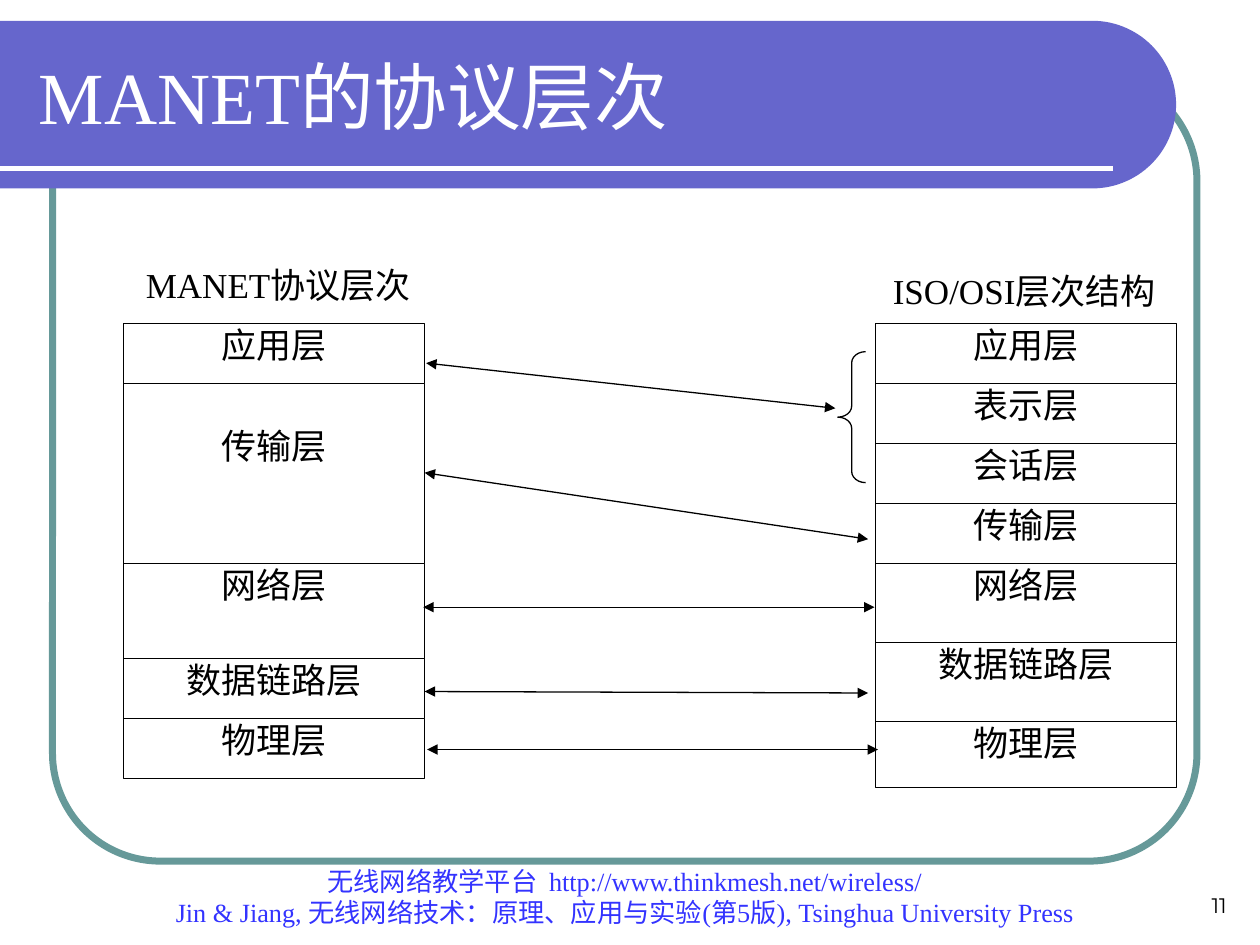
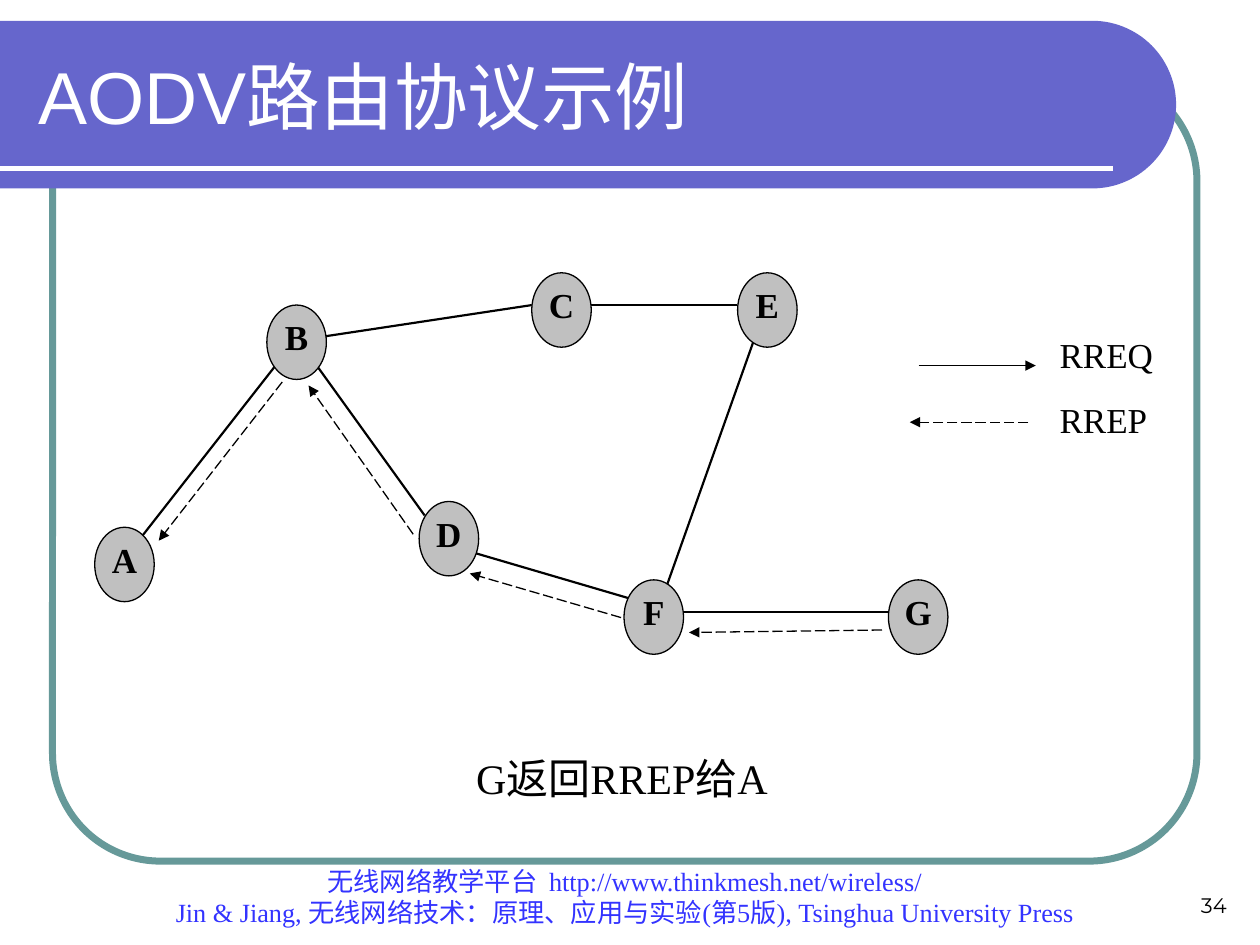
import math

from lxml import etree
from pptx import Presentation
from pptx.dml.color import RGBColor
from pptx.enum import dml, shapes, text
from pptx.oxml import ns
from pptx.util import Cm, Pt

BAND, FRAME, FOOTER, NODE = "6666CC", "669999", "3333FF", "C0C0C0"
BLACK, WHITE = "000000", "FFFFFF"
SERIF, SANS, NUMBER = "Times New Roman", "Arial", "Montserrat"
CENTER, LEFT, RIGHT = text.PP_ALIGN.CENTER, text.PP_ALIGN.LEFT, text.PP_ALIGN.RIGHT
TOP, MIDDLE, BOTTOM = (text.MSO_ANCHOR.TOP, text.MSO_ANCHOR.MIDDLE,
                       text.MSO_ANCHOR.BOTTOM)
FOOTER_TEXT = ("无线网络教学平台  http://www.thinkmesh.net/wireless/\n"
               "Jin & Jiang, 无线网络技术：原理、应用与实验(第5版), "
               "Tsinghua University Press")


def rgb(hex_color):
    return RGBColor.from_string(hex_color)


def write(shape, words, size, color=BLACK, font=SERIF, align=CENTER, anchor=TOP,
          inset=(0, 0), bold=False):
    """Put words into a shape; inset is (sides, top and bottom) in cm."""
    frame = shape.text_frame
    frame.text = words
    frame.word_wrap = True
    frame.auto_size = text.MSO_AUTO_SIZE.NONE
    frame.vertical_anchor = anchor
    frame.margin_left = frame.margin_right = Cm(inset[0])
    frame.margin_top = frame.margin_bottom = Cm(inset[1])
    for paragraph in frame.paragraphs:
        paragraph.alignment = align
        for run in paragraph.runs:
            run.font.size = Pt(size)
            run.font.name = font
            run.font.bold = bold
            run.font.color.rgb = rgb(color)


def paint(shape, fill=None, line=None, weight=0.75):
    shape.shadow.inherit = False
    if fill:
        shape.fill.solid()
        shape.fill.fore_color.rgb = rgb(fill)
    else:
        shape.fill.background()
    if line:
        shape.line.color.rgb = rgb(line)
        shape.line.width = Pt(weight)
    else:
        shape.line.fill.background()


def add_preset(slide, kind, left, top, width, height, **look):
    shape = slide.shapes.add_shape(kind, Cm(left), Cm(top), Cm(width), Cm(height))
    paint(shape, **look)
    return shape


def add_label(slide, words, left, top, width, height, size, **style):
    label = slide.shapes.add_textbox(Cm(left), Cm(top), Cm(width), Cm(height))
    write(label, words, size, **style)


def add_line(slide, start, end, color=BLACK, weight=0.75, dashed=False, arrows=()):
    """Draw a line; arrows names its pointed ends, headEnd before tailEnd."""
    line = slide.shapes.add_connector(shapes.MSO_CONNECTOR.STRAIGHT,
                                      *(Cm(v) for v in (*start, *end)))
    line.line.color.rgb = rgb(color)
    line.line.width = Pt(weight)
    if dashed:
        line.line.dash_style = dml.MSO_LINE.LONG_DASH
    properties = line._element.spPr
    outline = properties.find(ns.qn("a:ln"))
    for end_name in arrows:
        etree.SubElement(outline, ns.qn("a:" + end_name), type="triangle")
    etree.SubElement(properties, ns.qn("a:effectLst"))


def add_band(slide):
    """Title band with a half-round right end."""
    top, radius, straight = 0.42, 1.69, 22.02
    arc = [(straight + radius * math.cos(math.radians(a)),
            top + radius + radius * math.sin(math.radians(a)))
           for a in range(-90, 91, 3)]
    points = [(Cm(x), Cm(y)) for x, y in arc + [(0, top + 2 * radius)]]
    outline = slide.shapes.build_freeform(Cm(0), Cm(top))
    outline.add_line_segments(points, close=True)
    paint(outline.convert_to_shape(), fill=BAND)


def add_page(deck, title, number, title_font):
    """Add a slide with frame, band, title, footer and page number."""
    slide = deck.slides.add_slide(deck.slide_layouts[5])
    frame = add_preset(slide, shapes.MSO_SHAPE.ROUNDED_RECTANGLE,
                       1.06, 1.48, 23.07, 15.88, line=FRAME, weight=4)
    frame.adjustments[0] = 0.137
    add_band(slide)
    add_line(slide, (0, 3.39), (22.44, 3.39), color=WHITE, weight=3)

    heading = slide.shapes.title
    heading.left, heading.top = Cm(0.53), Cm(0.64)
    heading.width, heading.height = Cm(22.28), Cm(2.54)
    write(heading, title, 42, color=WHITE, font=title_font, align=LEFT,
          anchor=MIDDLE, inset=(0.25, 0.13))
    # The title lies above the band
    slide.shapes._spTree.append(heading._element)

    add_label(slide, FOOTER_TEXT, 1.9, 17.78, 21.39, 1.06, 15, color=FOOTER,
              anchor=BOTTOM, inset=(0.25, 0.13))
    add_label(slide, number, 19.05, 17.36, 5.93, 1.27, 12, font=NUMBER,
              align=RIGHT, anchor=BOTTOM, inset=(0.25, 0.13))
    return slide


def add_stack(slide, left, layers):
    """Stack protocol layers, each (name, height, space above the name)."""
    top = 6.52
    for name, height, space_above in layers:
        layer = add_preset(slide, shapes.MSO_SHAPE.RECTANGLE, left, top, 6.07,
                           height, fill=WHITE, line=BLACK)
        write(layer, name, 20)
        layer.text_frame.margin_top = Cm(space_above)
        top += height


def layers_slide(deck):
    slide = add_page(deck, "MANET的协议层次", "11", SERIF)

    # The two stacks with their captions
    add_stack(slide, 2.49, [("应用层", 1.21, 0), ("传输层", 3.63, 0.83),
                            ("网络层", 1.92, 0), ("数据链路层", 1.2, 0),
                            ("物理层", 1.21, 0)])
    add_stack(slide, 17.65, [("应用层", 1.21, 0), ("表示层", 1.21, 0),
                             ("会话层", 1.21, 0), ("传输层", 1.21, 0),
                             ("网络层", 1.59, 0), ("数据链路层", 1.59, 0),
                             ("物理层", 1.34, 0)])
    add_label(slide, "MANET协议层次", 2.64, 5.31, 5.94, 1.19, 20)
    add_label(slide, "ISO/OSI层次结构", 17.78, 5.44, 5.74, 1.22, 20)

    # Matching layers
    for manet, osi in [((8.59, 7.32), (16.84, 8.23)), ((8.56, 9.53), (17.5, 10.87)),
                       ((8.53, 12.24), (17.63, 12.24)),
                       ((8.56, 13.94), (17.5, 13.97)),
                       ((8.61, 15.11), (17.7, 15.11))]:
        add_line(slide, manet, osi, arrows=("headEnd", "tailEnd"))
    brace = add_preset(slide, shapes.MSO_SHAPE.LEFT_BRACE, 16.89, 7.09, 0.56, 2.64,
                       line=BLACK)
    brace.adjustments[0] = 0.4


def route_slide(deck):
    slide = add_page(deck, "AODV路由协议示例", "34", SANS)

    # Radio links
    for start, end in [((2.87, 10.8), (5.64, 7.26)), ((6.55, 6.78), (10.72, 6.15)),
                       ((11.91, 6.15), (14.86, 6.15)), ((6.4, 7.39), (8.56, 10.39)),
                       ((9.58, 11.15), (12.78, 12.09)),
                       ((13.44, 11.81), (15.19, 6.88)),
                       ((13.77, 12.34), (17.91, 12.34))]:
        add_line(slide, start, end, weight=1.25)

    # Nodes
    for name, left, top in [("A", 1.91, 10.63), ("B", 5.38, 6.15), ("C", 10.72, 5.5),
                            ("D", 8.45, 10.11), ("E", 14.87, 5.5),
                            ("F", 12.58, 11.69), ("G", 17.91, 11.69)]:
        node = add_preset(slide, shapes.MSO_SHAPE.OVAL, left, top, 1.2, 1.5,
                          fill=NODE, line=BLACK)
        write(node, name, 20, bold=True)

    # Reply from G back to A, then its legend entry
    for sender, receiver in [((17.78, 12.7), (13.89, 12.75)),
                             ((12.52, 12.45), (9.47, 11.56)),
                             ((8.33, 10.77), (6.22, 7.77)),
                             ((5.69, 7.7), (3.2, 10.9)),
                             ((20.73, 8.51), (18.34, 8.51))]:
        add_line(slide, sender, receiver, dashed=True, arrows=("tailEnd",))
    add_line(slide, (18.52, 7.37), (20.88, 7.37), arrows=("tailEnd",))
    for name, top in [("RREQ", 6.73), ("RREP", 8.03)]:
        add_label(slide, name, 21.36, top, 2.36, 1.3, 20, align=LEFT)

    add_label(slide, "G返回RREP给A", 9.35, 15.04, 8, 1.27, 24, align=LEFT,
              anchor=MIDDLE, inset=(0.25, 0.13))


def main():
    deck = Presentation()
    deck.slide_width, deck.slide_height = Cm(25.4), Cm(19.05)
    layers_slide(deck)
    route_slide(deck)
    deck.save("out.pptx")


if __name__ == "__main__":
    main()
